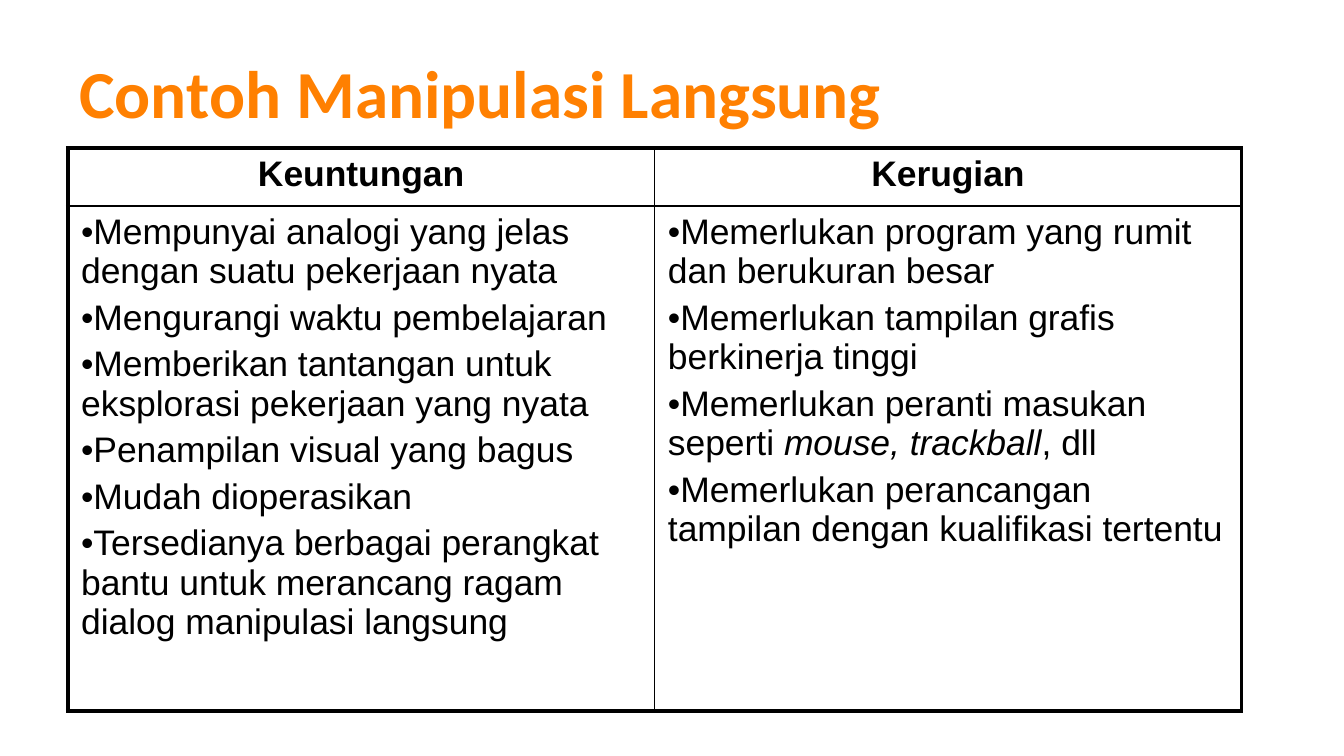
"""Build a slide that weighs the pros and cons of direct manipulation."""
from dataclasses import dataclass

from lxml import etree
from pptx import Presentation
from pptx import util as u
from pptx.dml.color import RGBColor
from pptx.enum import text as tx
from pptx.oxml import ns


@dataclass(frozen=True)
class Theme:
    """Hold the colours, fonts and sizes."""
    accent: str = "FF8001"
    ink: str = "000000"
    head: str = "Calibri"
    body: str = "Arial"
    big: float = 36
    small: float = 19
    thick: float = 2.25
    thin: float = 1


THEME = Theme()
TITLE = "Contoh Manipulasi Langsung"
HEADS = ("Keuntungan", "Kerugian")
LISTS = (
    (
        "Mempunyai analogi yang jelas dengan suatu pekerjaan nyata",
        "Mengurangi waktu pembelajaran",
        "Memberikan tantangan untuk eksplorasi pekerjaan yang nyata",
        "Penampilan visual yang bagus",
        "Mudah dioperasikan",
        "Tersedianya berbagai perangkat bantu untuk merancang ragam "
        "dialog manipulasi langsung",
    ),
    (
        "Memerlukan program yang rumit dan berukuran besar",
        "Memerlukan tampilan grafis berkinerja tinggi",
        "Memerlukan peranti masukan seperti *mouse, trackball*, dll",
        "Memerlukan perancangan tampilan dengan kualifikasi tertentu",
    ),
)


def style(para, face, size, tint, bold=False):
    """Set the font of a paragraph."""
    font = para.font
    font.name, font.size, font.bold = face, u.Pt(size), bold
    font.color.rgb = RGBColor.from_string(tint)


def add_runs(para, words):
    """Add runs, with the parts between asterisks in italics."""
    for i, part in enumerate(words.split("*")):
        run = para.add_run()
        run.text = part
        if i % 2:
            run.font.italic = True


def add_dot(para):
    """Give a paragraph a bullet without a hanging indent."""
    props = para._p.get_or_add_pPr()
    props.set("marL", "0")
    props.set("indent", "0")
    etree.SubElement(props, ns.qn("a:buFont"), typeface=THEME.body)
    etree.SubElement(props, ns.qn("a:buChar"), char="•")


def add_edge(cell, side, width):
    """Draw one border of a cell."""
    props = cell._tc.get_or_add_tcPr()
    line = etree.SubElement(props, ns.qn(f"a:ln{side}"), w=str(u.Pt(width)))
    fill = etree.SubElement(line, ns.qn("a:solidFill"))
    etree.SubElement(fill, ns.qn("a:srgbClr"), val=THEME.ink)


def add_title(slide):
    """Add the slide title."""
    box = slide.shapes.add_textbox(u.Cm(1.25), u.Cm(0.66), u.Cm(22.94), u.Cm(2.13))
    frame = box.text_frame
    frame.word_wrap = True
    frame.vertical_anchor = tx.MSO_ANCHOR.MIDDLE
    para = frame.paragraphs[0]
    para.text = TITLE
    style(para, THEME.head, THEME.big, THEME.accent, True)


def fill_cell(cell, items, head):
    """Write a heading or a bulleted list into a cell."""
    frame = cell.text_frame
    for i, words in enumerate(items):
        para = frame.add_paragraph() if i else frame.paragraphs[0]
        add_runs(para, words)
        if head:
            para.alignment = tx.PP_ALIGN.CENTER
        else:
            add_dot(para)
        if i:
            para.space_before = u.Pt(3.8)
        style(para, THEME.body, THEME.small, THEME.ink, head)


def add_grid(slide):
    """Add the two-column table with a thick outer frame."""
    rows = [[[name] for name in HEADS], LISTS]
    tall = [u.Cm(1.09), u.Cm(9.55)]
    wide = u.Cm(11.09)
    frame = slide.shapes.add_table(2, 2, u.Cm(1.28), u.Cm(2.8), 2 * wide, sum(tall))
    table = frame.table
    table.first_row = table.horz_banding = False
    for col in table.columns:
        col.width = wide
    for r, row in enumerate(rows):
        table.rows[r].height = tall[r]
        for c, items in enumerate(row):
            cell = table.cell(r, c)
            fill_cell(cell, items, r == 0)
            outer = {"L": c == 0, "R": c == 1, "T": r == 0, "B": r == 1}
            for side, edge in outer.items():
                add_edge(cell, side, THEME.thick if edge else THEME.thin)
            cell.fill.background()


def main():
    """Build and save the slide."""
    deck = Presentation()
    deck.slide_width, deck.slide_height = u.Cm(25.4), u.Cm(14.29)
    slide = deck.slides.add_slide(deck.slide_layouts[6])
    add_title(slide)
    add_grid(slide)
    deck.save("out.pptx")


if __name__ == "__main__":
    main()
